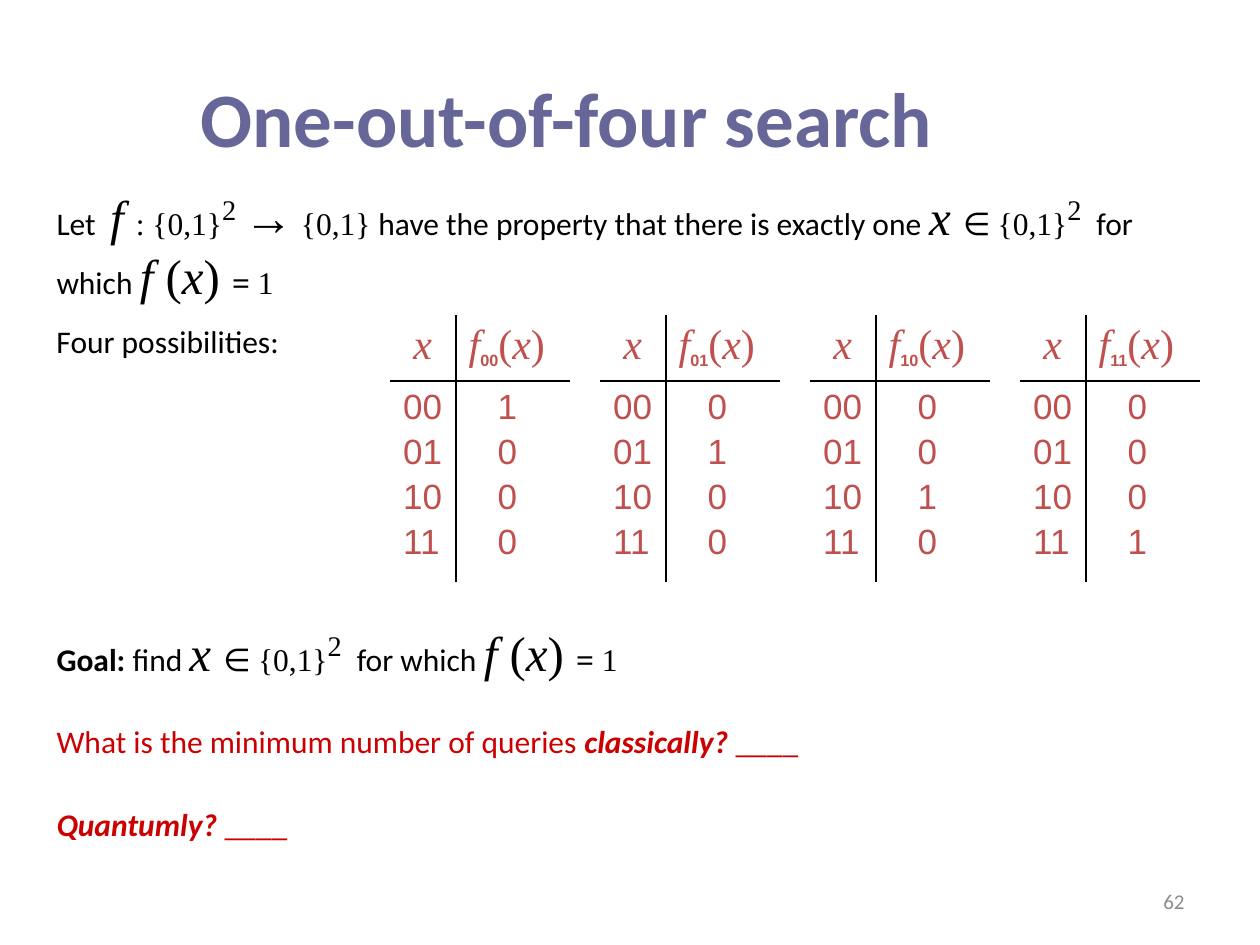
import pptx
import pptx.dml.color
import pptx.enum.text
import pptx.oxml
import pptx.oxml.ns
import pptx.util

Inches = pptx.util.Inches
Pt = pptx.util.Pt
Align = pptx.enum.text.PP_ALIGN
Anchor = pptx.enum.text.MSO_ANCHOR

BLACK, BRICK, RED = "000000", "C0504D", "CC0000"
SERIF = "Times New Roman"
STYLES = {
    "text": {},
    "bold": {"bold": True},
    "emphasis": {"bold": True, "italic": True},
    "math": {"name": SERIF},
    "equals": {"name": SERIF, "bold": True},
    "variable": {"name": SERIF, "size": 28, "italic": True},
    "large": {"name": SERIF, "size": 28},
    "power": {"name": SERIF, "size": 28, "baseline": 30},
    "symbol": {"name": SERIF, "size": 24, "italic": True},
    "bracket": {"name": SERIF, "size": 24},
    "index": {"size": 16, "bold": True, "baseline": -25},
}
MEMBER = [("x ", "variable"), ("∈ ", "text"), ("{0,1}", "math"), ("2 ", "power"), (" ", "math")]
EQUALS_ONE = [("f ", "variable"), ("(", "large"), ("x", "variable"), (") ", "large"),
              ("=", "equals"), (" 1", "math")]
INPUTS = ["00", "01", "10", "11"]


def colour(value):
    return pptx.dml.color.RGBColor.from_string(value)


class SlideWriter:
    font = "Calibri"
    size = 18
    table_font = "Arial"
    table_size = 20
    line_width = 1.5

    def __init__(self, page):
        self.page = page

    def paragraph(self, para, spans, ink, size, font, align=Align.LEFT):
        para.alignment = align
        para.font.name = font
        para.font.size = Pt(size)
        para.font.color.rgb = colour(ink)
        for content, style in spans:
            span = para.add_run()
            span.text = content
            for key, value in STYLES[style].items():
                if key == "baseline":
                    span._r.get_or_add_rPr().set("baseline", str(value * 1000))
                else:
                    setattr(span.font, key, Pt(value) if key == "size" else value)

    def text(self, place, spans, ink=BLACK, size=None, align=Align.LEFT, anchor=Anchor.TOP):
        box = self.page.shapes.add_textbox(*map(Inches, place))
        frame = box.text_frame
        frame.word_wrap = True
        frame.vertical_anchor = anchor
        self.paragraph(frame.paragraphs[0], spans, ink, size or self.size, self.font, align)

    def cell(self, cell, lines, borders, indent):
        cell.margin_left = Inches(indent)
        cell.margin_right = Inches(0.05)
        for number, spans in enumerate(lines):
            if number:
                para = cell.text_frame.add_paragraph()
                para.space_before = Pt(3.5)
            else:
                para = cell.text_frame.paragraphs[0]
            self.paragraph(para, spans, BRICK, self.table_size, self.table_font)
        properties = cell._tc.get_or_add_tcPr()
        for side in borders:
            properties.append(pptx.oxml.parse_xml(
                f'<a:ln{side} {pptx.oxml.ns.nsdecls("a")} w="{Pt(self.line_width)}">'
                f'<a:solidFill><a:srgbClr val="{BLACK}"/></a:solidFill></a:ln{side}>'))
        cell.fill.background()

    def truth_table(self, left, top, marked):
        widths, heights = (0.52, 0.9), (0.51, 1.6)
        frame = self.page.shapes.add_table(
            2, 2, Inches(left), Inches(top), Inches(sum(widths)), Inches(sum(heights)))
        table = frame.table
        table.first_row = table.horz_banding = False
        for column, width in zip(table.columns, widths):
            column.width = Inches(width)
        for row, height in zip(table.rows, heights):
            row.height = Inches(height)
        function = [("f", "symbol"), (marked, "index"), ("(", "bracket"),
                    ("x", "symbol"), (")", "bracket")]
        values = [[(str(int(item == marked)), "text")] for item in INPUTS]
        self.cell(table.cell(0, 0), [[("x", "symbol")]], "RB", 0.18)
        self.cell(table.cell(0, 1), [function], "LB", 0.1)
        self.cell(table.cell(1, 0), [[(item, "text")] for item in INPUTS], "RT", 0.1)
        self.cell(table.cell(1, 1), values, "LT", 0.33)


def main():
    deck = pptx.Presentation()
    deck.slide_width, deck.slide_height = Inches(10), Inches(7.5)
    writer = SlideWriter(deck.slides.add_slide(deck.slide_layouts[6]))

    writer.text((7.17, 6.95, 2.33, 0.4), [("62", "text")], "8C8C8C", 12,
                Align.RIGHT, Anchor.MIDDLE)
    writer.text((0, 0.3, 9, 1.25), [("One-out-of-four search", "bold")], "666699", 44,
                Align.CENTER, Anchor.MIDDLE)
    writer.text((0.35, 1.43, 9.05, 1.03), [
        ("Let  ", "text"), ("f ", "variable"), (": {0,1}", "math"), ("2", "power"),
        (" ", "math"), ("→", "large"), (" {0,1} ", "math"),
        ("have the property that there is exactly one ", "text"),
        *MEMBER, ("for which ", "text"), *EQUALS_ONE])
    writer.text((0.35, 2.51, 2.7, 0.5), [("Four possibilities:", "text")])
    for number, marked in enumerate(INPUTS):
        writer.truth_table(3.1 + number * 5 / 3, 2.51, marked)
    writer.text((0.35, 4.89, 6.05, 0.57), [
        ("Goal: ", "bold"), ("find ", "text"), *MEMBER, ("for which ", "text"), *EQUALS_ONE])
    writer.text((0.35, 5.68, 8.89, 0.5), [
        ("What is the minimum number of queries ", "text"),
        ("classically? ", "emphasis"), ("____", "text")], RED)
    writer.text((0.35, 6.34, 2.98, 0.5), [("Quantumly?", "emphasis"), (" ____", "text")], RED)
    deck.save("out.pptx")


if __name__ == "__main__":
    main()
